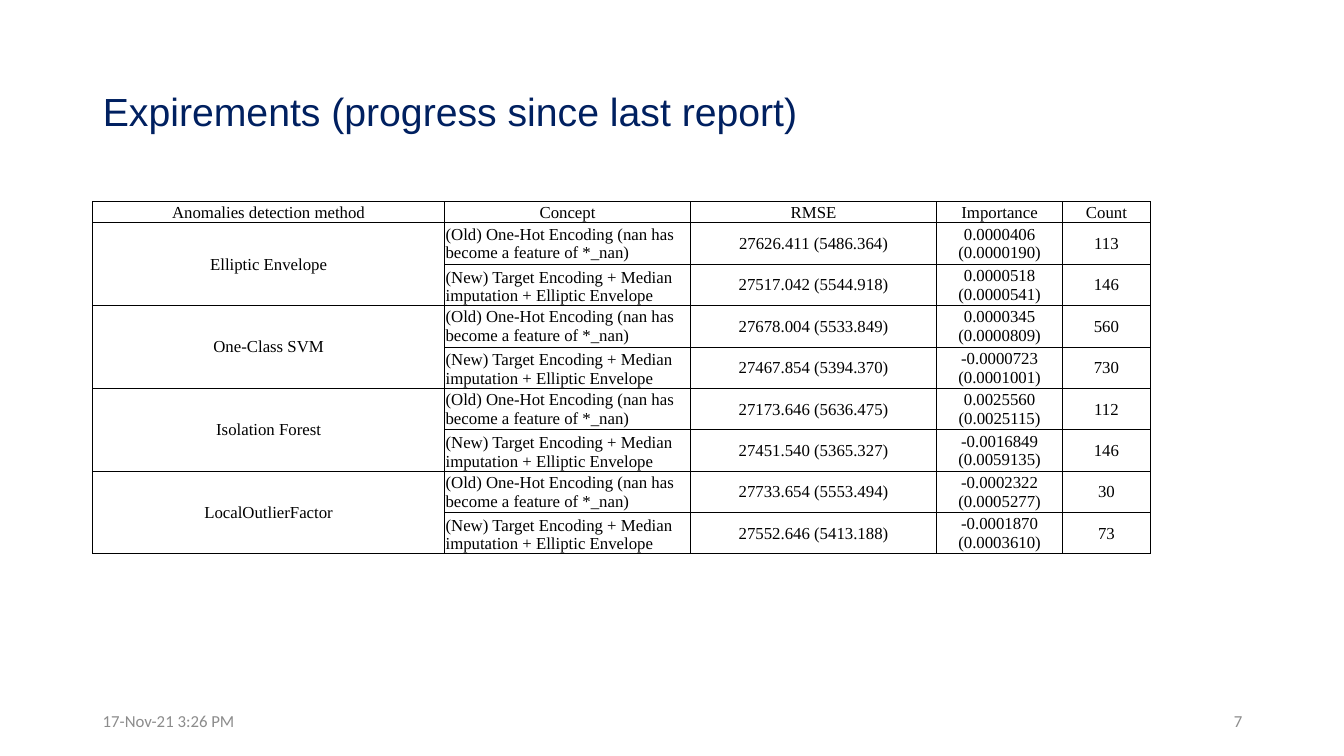
from lxml.etree import SubElement
from pptx import Presentation
from pptx.dml.color import RGBColor
from pptx.enum.text import MSO_ANCHOR, MSO_AUTO_SIZE, PP_ALIGN
from pptx.oxml.ns import qn
from pptx.util import Inches, Pt

THEME = {
    "title": {"name": "Arial", "size": Pt(28), "color": RGBColor(0x00, 0x20, 0x60)},
    "footer": {"name": "Calibri", "size": Pt(12), "color": RGBColor(0x8C, 0x8C, 0x8C)},
    "table": {"name": "Times New Roman", "size": Pt(12), "color": RGBColor(0, 0, 0)},
    "border": {"width": Pt(0.5), "color": "000000"},
}
LEFT = 0.92
MARGINS = {
    "margin_left": Inches(0.01),
    "margin_top": Inches(0.01),
    "margin_right": Inches(0.01),
    "margin_bottom": 0,
}


def write(frame, text, style, alignment):
    para = frame.paragraphs[0]
    para.alignment = alignment
    span = para.add_run()
    span.text = text
    span.font.name = THEME[style]["name"]
    span.font.size = THEME[style]["size"]
    span.font.color.rgb = THEME[style]["color"]
    return para


def add_borders(cell):
    properties = cell._tc.get_or_add_tcPr()
    for side in ("a:lnL", "a:lnR", "a:lnT", "a:lnB"):
        line = SubElement(properties, qn(side), w=str(THEME["border"]["width"]))
        fill = SubElement(line, qn("a:solidFill"))
        SubElement(fill, qn("a:srgbClr"), val=THEME["border"]["color"])


deck = Presentation()
deck.slide_width = Inches(13.33)
deck.slide_height = Inches(7.5)
page = deck.slides.add_slide(deck.slide_layouts[5])

title = page.shapes.title
title.left, title.top = Inches(LEFT), Inches(0.4)
title.width, title.height = Inches(11.5), Inches(1.45)
title.text_frame.auto_size = MSO_AUTO_SIZE.NONE
title.text_frame.vertical_anchor = MSO_ANCHOR.MIDDLE
heading = write(
    title.text_frame, "Expirements (progress since last report)", "title", PP_ALIGN.LEFT
)
heading.line_spacing = 0.9

for text, left, alignment in (
    ("17-Nov-21 3:26 PM", LEFT, PP_ALIGN.LEFT),
    ("7", 9.42, PP_ALIGN.RIGHT),
):
    box = page.shapes.add_textbox(Inches(left), Inches(6.95), Inches(3), Inches(0.4))
    box.text_frame.word_wrap = True
    box.text_frame.vertical_anchor = MSO_ANCHOR.MIDDLE
    write(box.text_frame, text, "footer", alignment)

headers = ("Anomalies detection method", "Concept", "RMSE", "Importance", "Count")
concepts = (
    "(Old) One-Hot Encoding (nan has become a feature of *_nan)",
    "(New) Target Encoding + Median imputation + Elliptic Envelope",
)
results = {
    "Elliptic Envelope": (
        ("27626.411 (5486.364)", "0.0000406 (0.0000190)", "113"),
        ("27517.042 (5544.918)", "0.0000518 (0.0000541)", "146"),
    ),
    "One-Class SVM": (
        ("27678.004 (5533.849)", "0.0000345 (0.0000809)", "560"),
        ("27467.854 (5394.370)", "-0.0000723 (0.0001001)", "730"),
    ),
    "Isolation Forest": (
        ("27173.646 (5636.475)", "0.0025560 (0.0025115)", "112"),
        ("27451.540 (5365.327)", "-0.0016849 (0.0059135)", "146"),
    ),
    "LocalOutlierFactor": (
        ("27733.654 (5553.494)", "-0.0002322 (0.0005277)", "30"),
        ("27552.646 (5413.188)", "-0.0001870 (0.0003610)", "73"),
    ),
}
rows = [headers]
for method, runs in results.items():
    for concept, values in zip(concepts, runs):
        rows.append((method if concept == concepts[0] else "", concept, *values))

widths = (3.49, 2.44, 2.44, 1.25, 0.87)
heights = [0.13] + [0.4] * (len(rows) - 1)
table = page.shapes.add_table(
    len(rows), len(widths), Inches(LEFT), Inches(2),
    Inches(sum(widths)), Inches(sum(heights)),
).table
table.first_row = False
table.horz_banding = False
for column, width in zip(table.columns, widths):
    column.width = Inches(width)
for row, height in zip(table.rows, heights):
    row.height = Inches(height)

for row_index, row in enumerate(rows):
    for column_index, text in enumerate(row):
        cell = table.cell(row_index, column_index)
        for name, value in MARGINS.items():
            setattr(cell, name, value)
        is_new = text == concepts[1]
        cell.vertical_anchor = MSO_ANCHOR.BOTTOM if is_new else MSO_ANCHOR.MIDDLE
        add_borders(cell)
        cell.fill.background()
        if text:
            alignment = PP_ALIGN.LEFT if text in concepts else PP_ALIGN.CENTER
            write(cell.text_frame, text, "table", alignment)

for first in range(1, len(rows), len(concepts)):
    table.cell(first, 0).merge(table.cell(first + len(concepts) - 1, 0))

deck.save("out.pptx")
